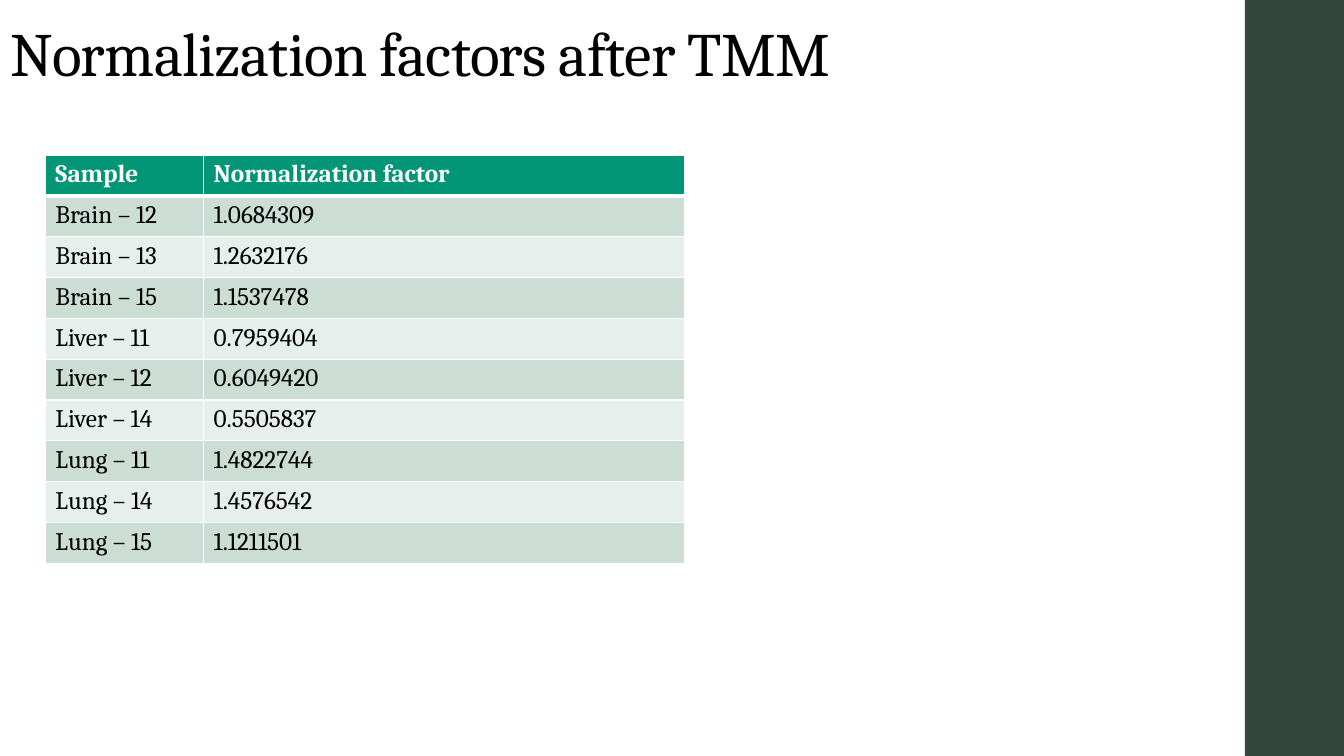
"""Build a slide with a table of TMM normalization factors."""
from lxml.etree import SubElement
from pptx import Presentation
from pptx.dml.color import RGBColor
from pptx.enum.shapes import MSO_SHAPE as Shape
from pptx.enum.text import MSO_ANCHOR as Anchor, MSO_AUTO_SIZE as AutoSize, PP_ALIGN as Align
from pptx.oxml.ns import qn
from pptx.util import Inches, Pt

BLACK = RGBColor(0x00, 0x00, 0x00)
WHITE = RGBColor(0xFF, 0xFF, 0xFF)
FOREST = RGBColor(0x34, 0x47, 0x3D)
GREEN = RGBColor(0x02, 0x96, 0x76)
SAGE = RGBColor(0xCC, 0xDD, 0xD6)
MIST = RGBColor(0xE7, 0xEF, 0xEC)

FACTORS = [
    ("Sample", "Normalization factor"),
    ("Brain – 12", "1.0684309"),
    ("Brain – 13", "1.2632176"),
    ("Brain – 15", "1.1537478"),
    ("Liver – 11", "0.7959404"),
    ("Liver – 12", "0.6049420"),
    ("Liver – 14", "0.5505837"),
    ("Lung – 11", "1.4822744"),
    ("Lung – 14", "1.4576542"),
    ("Lung – 15", "1.1211501"),
]


def write(frame, text, size=18, color=BLACK, bold=False, spacing=None, tracking=None):
    para = frame.paragraphs[0]
    para.alignment = Align.LEFT
    para.line_spacing = spacing
    span = para.add_run()
    span.text = text
    font = span.font
    font.name, font.size, font.bold = "Cambria", Pt(size), bold
    font.color.rgb = color
    if tracking is not None:
        span._r.get_or_add_rPr().set("spc", str(round(tracking * 100)))


class Page:
    def __init__(self, deck):
        self.column = deck.slide_width / 40
        self.row = deck.slide_height / 30
        self.slide = deck.slides.add_slide(deck.slide_layouts[5])

    def across(self, columns):
        return round(columns * self.column)

    def down(self, rows):
        return round(rows * self.row)

    def area(self, left, top, width, height):
        return self.across(left), self.down(top), self.across(width), self.down(height)

    def band(self, *place, color):
        box = self.slide.shapes.add_shape(Shape.RECTANGLE, *self.area(*place))
        box.shadow.inherit = False
        box.fill.solid()
        box.fill.fore_color.rgb = color
        box.line.fill.background()

    def title(self, text, *place):
        box = self.slide.shapes.title
        box.left, box.top, box.width, box.height = self.area(*place)
        frame = box.text_frame
        frame.word_wrap = True
        frame.auto_size = AutoSize.NONE
        frame.vertical_anchor = Anchor.BOTTOM
        write(frame, text, size=44, spacing=0.9, tracking=-0.5)

    def border(self, cell, **widths):
        properties = cell._tc.get_or_add_tcPr()
        for index, (side, width) in enumerate(widths.items()):
            line = SubElement(properties, qn(f"a:ln{side}"), w=str(Pt(width)))
            fill = SubElement(line, qn("a:solidFill"))
            SubElement(fill, qn("a:srgbClr"), val=str(WHITE))
            properties.insert(index, line)

    def table(self, records, left, top, widths, height):
        place = self.area(left, top, sum(widths), height * len(records))
        grid = self.slide.shapes.add_table(len(records), len(widths), *place).table
        for column, width in zip(grid.columns, widths):
            column.width = self.across(width)
        for number, record in enumerate(records):
            grid.rows[number].height = self.down(height)
            header = number == 0
            shade = GREEN if header else (MIST, SAGE)[number % 2]
            for position, text in enumerate(record):
                cell = grid.cell(number, position)
                cell.fill.solid()
                cell.fill.fore_color.rgb = shade
                write(cell.text_frame, text, color=WHITE if header else BLACK, bold=header)
                self.border(cell, L=1, R=1, T=3 if number == 1 else 1, B=3 if header else 1)


def main():
    deck = Presentation()
    deck.slide_width, deck.slide_height = Inches(13.33), Inches(7.5)
    page = Page(deck)
    page.band(37.05, 0, 2.95, 30, color=FOREST)
    page.title("Normalization factors after TMM", 0, 0.32, 28.3, 3.44)
    page.table(FACTORS, left=1.35, top=6.16, widths=(4.71, 14.33), height=1.62)
    deck.save("out.pptx")


if __name__ == "__main__":
    main()
